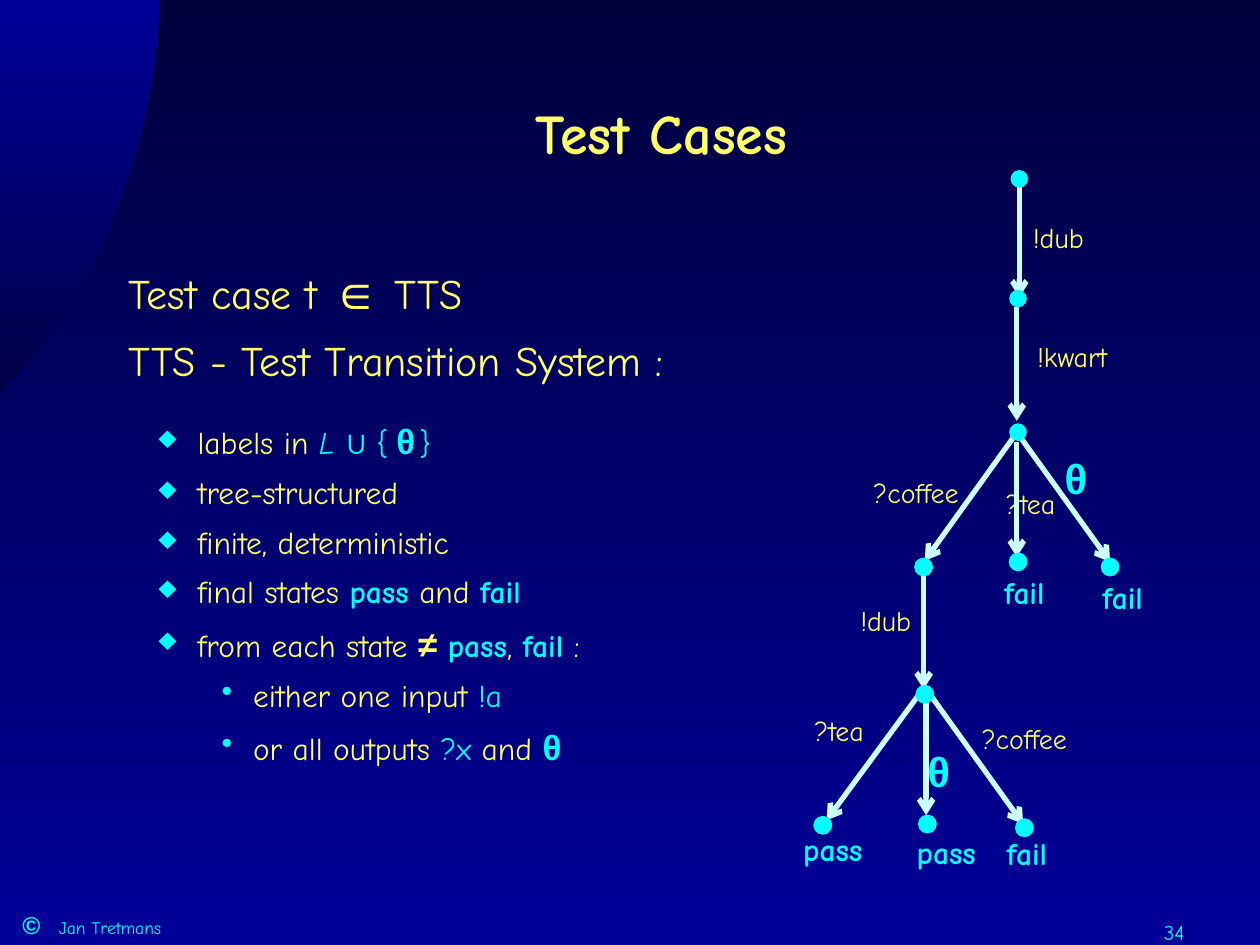
import pptx
import pptx.util
import pptx.oxml
import pptx.oxml.ns
import pptx.dml.color
import pptx.enum.shapes
import pptx.enum.text

Inches, Pt = pptx.util.Inches, pptx.util.Pt
RGBColor = pptx.dml.color.RGBColor
PP_ALIGN = pptx.enum.text.PP_ALIGN
MSO_ANCHOR = pptx.enum.text.MSO_ANCHOR
qn = pptx.oxml.ns.qn

NIGHT = RGBColor(0x00, 0x00, 0x3C)
DUSK = RGBColor(0x00, 0x00, 0x47)
BLUE = RGBColor(0x00, 0x00, 0x99)
YELLOW = RGBColor(0xFF, 0xFF, 0x66)
CYAN = RGBColor(0x00, 0xFF, 0xFF)
PALE = RGBColor(0xCC, 0xFF, 0xFF)

SYMBOL = dict(font="Arial", bold=True)
ACCENT = dict(color=CYAN)
VERDICT = dict(color=CYAN, bold=True)
THETA = ("θ", dict(SYMBOL, size=20, color=CYAN))


def append_xml(parent, tag, **attributes):
    child = pptx.oxml.parse_xml(f'<a:{tag} {pptx.oxml.ns.nsdecls("a")}/>')
    for key, value in attributes.items():
        child.set(key, str(value))
    parent.append(child)
    return child


def add_run(paragraph, text, size=18, color=YELLOW, font="Comic Neue", bold=False, italic=False):
    run = paragraph.add_run()
    run.text = text
    run.font.size = Pt(size)
    run.font.name = font
    run.font.bold = bold
    run.font.italic = italic
    run.font.color.rgb = color


class TestCaseSlide:
    def __init__(self, slide):
        self.slide = slide
        self.shapes = slide.shapes

    def shade(self, fill, top, bottom):
        """Fill with a gradient that runs straight down."""
        fill.gradient()
        fill.gradient_angle = 270
        for stop, color in zip(fill.gradient_stops, (top, bottom)):
            stop.color.rgb = color

    def corner(self, start, control_1, control_2, end, steps=40):
        """Fill the area between the top left corner and a Bezier curve."""
        curve = []
        for step in range(steps + 1):
            t = step / steps
            weights = ((1 - t) ** 3, 3 * t * (1 - t) ** 2, 3 * t ** 2 * (1 - t), t ** 3)
            curve.append(tuple(
                Inches(sum(w * point[axis] for w, point in
                           zip(weights, (start, control_1, control_2, end))))
                for axis in (0, 1)))
        builder = self.shapes.build_freeform(0, 0)
        builder.add_line_segments(curve, close=True)
        disc = builder.convert_to_shape()
        disc.shadow.inherit = False
        disc.line.fill.background()
        self.shade(disc.fill, BLUE, DUSK)

    def text(self, box, paragraphs, align=PP_ALIGN.LEFT, anchor=MSO_ANCHOR.TOP, wrap=True,
             spacing=1.0, before=0, **style):
        """Each paragraph is a list of (text, format changes) runs."""
        frame = self.shapes.add_textbox(*map(Inches, box)).text_frame
        frame.word_wrap = wrap
        frame.vertical_anchor = anchor
        for index, runs in enumerate(paragraphs):
            paragraph = frame.paragraphs[0] if index == 0 else frame.add_paragraph()
            paragraph.alignment = align
            paragraph.line_spacing = spacing
            paragraph.space_before = Pt(before if index else 0)
            for words, changes in runs:
                add_run(paragraph, words, **{**style, **changes})
        return frame

    def bullet(self, paragraph, mark, indent, hanging):
        properties = paragraph._p.get_or_add_pPr()
        properties.set("marL", str(Inches(indent)))
        properties.set("indent", str(-Inches(hanging)))
        append_xml(append_xml(properties, "buClr"), "srgbClr", val=CYAN)
        append_xml(properties, "buChar", char=mark)

    def label(self, words, x, y, **style):
        """Put a short text centred on a point."""
        width, height = 0.9, 0.42
        self.text((x - width / 2, y - height / 2, width, height), [[(words, {})]],
                  align=PP_ALIGN.CENTER, anchor=MSO_ANCHOR.MIDDLE, wrap=False, **style)

    def arrow(self, *ends):
        edge = self.shapes.add_connector(
            pptx.enum.shapes.MSO_CONNECTOR.STRAIGHT, *map(Inches, ends))
        edge.line.color.rgb = PALE
        edge.line.width = Pt(3)
        properties = edge.element.spPr
        append_xml(properties.find(qn("a:ln")), "tailEnd", type="arrow")
        append_xml(properties, "effectLst")

    def state(self, x, y, size=0.15):
        dot = self.shapes.add_shape(
            pptx.enum.shapes.MSO_SHAPE.FLOWCHART_CONNECTOR,
            Inches(x - size / 2), Inches(y - size / 2), Inches(size), Inches(size))
        dot.shadow.inherit = False
        dot.fill.solid()
        dot.fill.fore_color.rgb = CYAN
        dot.line.fill.background()


def add_frame(page):
    page.shade(page.slide.background.fill, NIGHT, BLUE)
    page.corner((0, 3.12), (0.76, 2.34), (1.22, 1.2), (1.27, 0))
    footer = page.text((0.08, 7.17, 4.9, 0.33),
                       [[("©", dict(SYMBOL, size=14)), ("\tJan Tretmans", {})]],
                       size=10, color=CYAN)
    tabs = append_xml(footer.paragraphs[0]._p.get_or_add_pPr(), "tabLst")
    append_xml(tabs, "tab", pos=Inches(0.29), algn="l")
    page.text((8.58, 7.25, 0.92, 0.25), [[("34", {})]],
              align=PP_ALIGN.RIGHT, size=12, color=CYAN)
    page.text((1, 0.42, 8.5, 1.25), [[("Test Cases", {})]], align=PP_ALIGN.CENTER,
              anchor=MSO_ANCHOR.MIDDLE, size=32, bold=True)


def add_definition(page):
    page.text((0.92, 1.97, 5.68, 1.27), [
        [("Test case t ", {}), ("∈", dict(SYMBOL, size=28)), (" TTS", {})],
        [("TTS - Test Transition System :", {})],
    ], spacing=1.1, before=6, size=24)

    properties = [
        [("labels in ", {}), ("L ", dict(ACCENT, italic=True)), ("∪ ", dict(SYMBOL, color=CYAN)),
         ("{", ACCENT), (" ", dict(size=14)), THETA, (" ", dict(size=7)), ("}", ACCENT)],
        [("tree-structured", {})],
        [("finite, deterministic", {})],
        [("final states ", {}), ("pass", VERDICT), (" and ", {}), ("fail", VERDICT)],
        [("from each state ", {}), ("≠", dict(SYMBOL, size=20)), (" ", {}),
         ("pass", VERDICT), (", ", {}), ("fail", VERDICT), (" :", {})],
    ]
    alternatives = [
        [("either one input ", {}), ("!a", ACCENT)],
        [("or all outputs ", {}), ("?x", ACCENT), (" and ", {}), THETA],
    ]
    body = page.text((0.66, 3.25, 5.68, 3.3), properties + alternatives, spacing=1.1, before=4.5)
    for index, paragraph in enumerate(body.paragraphs):
        if index < len(properties):
            page.bullet(paragraph, "♦", 0.81, 0.31)
        else:
            page.bullet(paragraph, "•", 1.25, 0.25)


def add_tree(page):
    for action, x, y in [("!dub", 8.4, 1.86), ("!kwart", 8.51, 2.8), ("?coffee", 7.27, 3.88),
                         ("?tea", 8.18, 3.97), ("!dub", 7.03, 4.9), ("?tea", 6.66, 5.77),
                         ("?coffee", 8.13, 5.83)]:
        page.label(action, x, y, size=16, spacing=1.2)
    for ends in [(8.09, 1.46, 8.09, 2.36), (8.07, 2.44, 8.07, 3.34), (8.08, 3.42, 7.34, 4.45),
                 (8.07, 3.51, 8.07, 4.42), (8.07, 3.43, 8.81, 4.46), (7.33, 4.56, 7.33, 5.47),
                 (7.31, 5.49, 6.56, 6.51), (7.35, 5.56, 7.35, 6.47), (7.38, 5.51, 8.12, 6.54)]:
        page.arrow(*ends)
    for x, y in [(8.09, 1.42), (8.08, 2.37), (8.08, 3.43)]:
        page.state(x, y, size=0.14)
    for x, y in [(7.33, 4.5), (8.08, 4.46), (8.81, 4.5), (7.34, 5.51),
                 (6.53, 6.55), (7.36, 6.54), (8.13, 6.57)]:
        page.state(x, y)
    for x, y in [(8.54, 3.75), (7.45, 6.08)]:
        page.label("θ", x, y, size=24, spacing=1.2, color=CYAN, **SYMBOL)
    for verdict, x, y in [("fail", 8.13, 4.7), ("fail", 8.91, 4.74), ("pass", 6.61, 6.74),
                          ("pass", 7.51, 6.76), ("fail", 8.15, 6.77)]:
        page.label(verdict, x, y, **VERDICT)


def main():
    deck = pptx.Presentation()
    deck.slide_width, deck.slide_height = Inches(10), Inches(7.5)
    page = TestCaseSlide(deck.slides.add_slide(deck.slide_layouts[6]))
    add_frame(page)
    add_definition(page)
    add_tree(page)
    deck.save("out.pptx")


if __name__ == "__main__":
    main()
